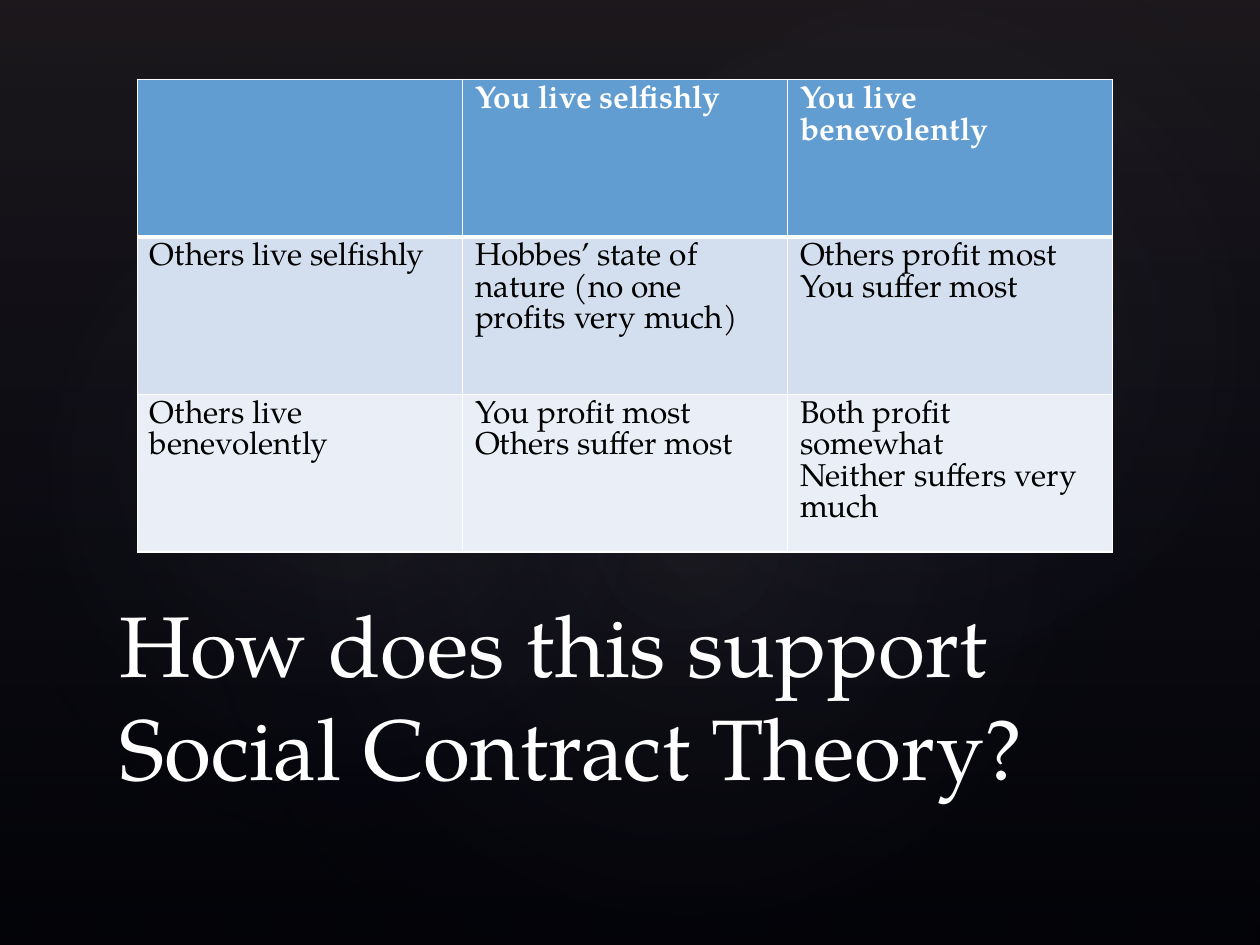
from lxml import etree
from pptx import Presentation, util as u
from pptx.dml.color import RGBColor
from pptx.enum import shapes, text
from pptx.oxml import parse_xml
from pptx.oxml.ns import nsdecls, qn

COLORS = {"back": "000000", "top": "504652", "navy": "242852", "glow": "C4BCC6",
          "header": "629DD1", "odd": "D3DFEE", "even": "EAEFF7",
          "white": "FFFFFF", "black": "000000"}
FONT = "TeX Gyre Pagella"


def add_gradient(sp, stops, direction):
    """Fill a borderless shape with (position %, colour, opacity %) stops."""
    sp.shadow.inherit = False
    sp.line.fill.background()
    gs = "".join(f'<a:gs pos="{pos * 1000}"><a:srgbClr val="{COLORS[c]}">'
                 f'<a:alpha val="{alpha * 1000}"/></a:srgbClr></a:gs>'
                 for pos, c, alpha in stops)
    grad = parse_xml(f'<a:gradFill {nsdecls("a")} rotWithShape="1">'
                     f'<a:gsLst>{gs}</a:gsLst>{direction}</a:gradFill>')
    sp._element.spPr.find(qn("a:prstGeom")).addnext(grad)


def write(tf, lines, spacing, **fmt):
    """Put one paragraph per line into a text frame."""
    tf.word_wrap = True
    for i, line in enumerate(lines):
        p = tf.paragraphs[0] if i == 0 else tf.add_paragraph()
        p.line_spacing = u.Pt(spacing)
        p.alignment = text.PP_ALIGN.LEFT
        r = p.add_run()
        r.text = line
        r.font.color.rgb = RGBColor.from_string(COLORS[fmt["color"]])
        for name in ("size", "bold"):
            setattr(r.font, name, fmt[name])
        r.font.name = FONT


prs = Presentation()
prs.slide_width, prs.slide_height = u.Inches(10), u.Inches(7.5)
s = prs.slides.add_slide(prs.slide_layouts[6])

# Background: black, a vertical wash and three soft glows
s.background.fill.solid()
s.background.fill.fore_color.rgb = RGBColor.from_string(COLORS["back"])
sp = s.shapes.add_shape(shapes.MSO_SHAPE.RECTANGLE, 0, 0, prs.slide_width, prs.slide_height)
add_gradient(sp, [(0, "top", 36), (100, "navy", 10)], '<a:lin ang="5400000" scaled="0"/>')

centre = ('<a:path path="circle"><a:fillToRect l="50000" t="50000" '
          'r="50000" b="50000"/></a:path>')
for box, angle, alpha in [((1.5, 1.14, 7.92, 6.24), 328.7, 7),
                          ((-0.3, 1.28, 6.06, 4.9), 294.3, 8),
                          ((3.58, 0.13, 7.09, 5.2), 328.7, 8)]:
    sp = s.shapes.add_shape(shapes.MSO_SHAPE.OVAL, *map(u.Inches, box))
    sp.rotation = angle
    add_gradient(sp, [(0, "glow", alpha), (58, "navy", 0), (100, "navy", 0)], centre)

# Payoff table
ROWS = [
    [[], ["You live selfishly"], ["You live benevolently"]],
    [["Others live selfishly"], ["Hobbes’ state of nature (no one profits very much)"],
     ["Others profit most", "You suffer most"]],
    [["Others live benevolently"], ["You profit most", "Others suffer most"],
     ["Both profit somewhat", "Neither suffers very much"]],
]
COL, ROW = u.Inches(2.58), u.Inches(1.25)
table = s.shapes.add_table(3, 3, u.Inches(1.09), u.Inches(0.63), 3 * COL, 3 * ROW).table
for col in table.columns:
    col.width = COL
for i, (row, fill) in enumerate(zip(ROWS, ("header", "odd", "even"))):
    table.rows[i].height = ROW
    for j, lines in enumerate(row):
        cell = table.cell(i, j)
        cell.fill.solid()
        cell.fill.fore_color.rgb = RGBColor.from_string(COLORS[fill])
        write(cell.text_frame, lines, 18, size=u.Pt(18), bold=i == 0,
              color="white" if i == 0 else "black")
        # White borders, heavier under the header
        tcPr = cell._tc.get_or_add_tcPr()
        for k, side in enumerate("LRTB"):
            width = 3 if (i, side) in ((0, "B"), (1, "T")) else 1
            ln = etree.Element(qn(f"a:ln{side}"), w=str(u.Pt(width)))
            solid = etree.SubElement(ln, qn("a:solidFill"))
            etree.SubElement(solid, qn("a:srgbClr"), val=COLORS["white"])
            tcPr.insert(k, ln)

# Question
tf = s.shapes.add_textbox(*map(u.Inches, (0.85, 5.33, 8.25, 1))).text_frame
tf.vertical_anchor = text.MSO_ANCHOR.BOTTOM
tf.margin_bottom = 0
write(tf, ["How does this support Social Contract Theory?"], 59,
      size=u.Pt(49), bold=False, color="white")

prs.save("out.pptx")
